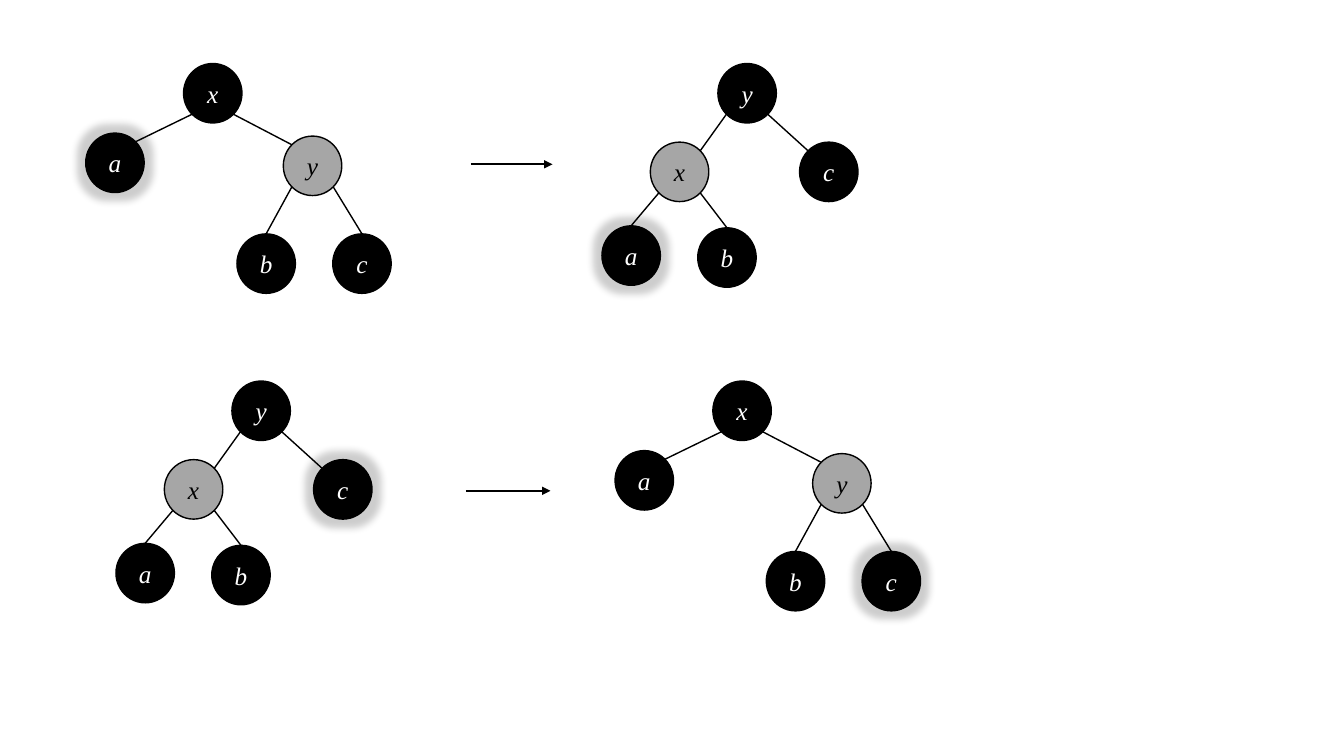
"""Draw the left and right rotations of a small binary search tree."""
import dataclasses
import math

import pptx
import pptx.dml.color
import pptx.enum.shapes
import pptx.enum.text
import pptx.oxml
import pptx.oxml.ns
import pptx.util

Inches = pptx.util.Inches
Pt = pptx.util.Pt
BLACK = pptx.dml.color.RGBColor(0x00, 0x00, 0x00)
WHITE = pptx.dml.color.RGBColor(0xFF, 0xFF, 0xFF)
GREY = pptx.dml.color.RGBColor(0xA6, 0xA6, 0xA6)
FONT = "Times New Roman"
NODE_WIDTH, NODE_HEIGHT = 0.58, 0.59
DRAWING = pptx.oxml.ns.nsdecls("a")


@dataclasses.dataclass(frozen=True)
class Node:
    label: str
    across: float
    down: float


@dataclasses.dataclass(frozen=True)
class Edge:
    parent: str
    child: str
    side: int
    to_top: bool = False


@dataclasses.dataclass(frozen=True)
class Form:
    nodes: tuple[Node, ...]
    edges: tuple[Edge, ...]
    inner: str


@dataclasses.dataclass(frozen=True)
class Tree:
    form: Form
    left: float
    top: float
    glowing: str


@dataclasses.dataclass(frozen=True)
class Arrow:
    start: float
    end: float
    height: float


RIGHT_HEAVY = Form(
    (Node("x", 0, 0), Node("a", -0.97, 0.69), Node("y", 0.99, 0.72),
     Node("b", 0.53, 1.69), Node("c", 1.48, 1.69)),
    (Edge("x", "a", -1), Edge("y", "b", -1, True),
     Edge("x", "y", 1), Edge("y", "c", 1, True)),
    "y",
)
LEFT_HEAVY = Form(
    (Node("y", 0, 0), Node("a", -1.15, 1.61), Node("x", -0.67, 0.78),
     Node("b", -0.2, 1.63), Node("c", 0.81, 0.78)),
    (Edge("y", "x", -1), Edge("x", "a", -1, True),
     Edge("y", "c", 1), Edge("x", "b", 1, True)),
    "x",
)
TREES = (
    Tree(RIGHT_HEAVY, 1.82, 0.63, "a"),
    Tree(LEFT_HEAVY, 7.12, 0.63, "a"),
    Tree(LEFT_HEAVY, 2.3, 3.78, "c"),
    Tree(RIGHT_HEAVY, 7.07, 3.78, "c"),
)
ARROWS = (Arrow(4.67, 5.48, 1.63), Arrow(4.62, 5.46, 4.87))


def add_line(shapes, start: tuple[float, float], end: tuple[float, float], weight: float):
    """Add a straight black line without a shadow."""
    line = shapes.add_connector(
        pptx.enum.shapes.MSO_CONNECTOR.STRAIGHT,
        *(Inches(value) for value in (*start, *end)),
    )
    line.line.color.rgb = BLACK
    line.line.width = Pt(weight)
    line._element.spPr.append(pptx.oxml.parse_xml(f"<a:effectLst {DRAWING}/>"))
    return line


def add_arrow(shapes, arrow: Arrow) -> None:
    """Add a horizontal arrow between two trees."""
    line = add_line(shapes, (arrow.start, arrow.height), (arrow.end, arrow.height), 1.5)
    line.line._get_or_add_ln().append(
        pptx.oxml.parse_xml(f'<a:tailEnd {DRAWING} type="triangle"/>'))


def add_glow(shape) -> None:
    """Surround a shape with a soft grey glow."""
    effects = shape._element.spPr.find(pptx.oxml.ns.qn("a:effectLst"))
    effects.append(pptx.oxml.parse_xml(
        f'<a:glow {DRAWING} rad="{Pt(11)}"><a:srgbClr val="{BLACK}">'
        '<a:alpha val="20000"/></a:srgbClr></a:glow>'))


def add_node(shapes, tree: Tree, node: Node):
    """Add one labelled circle of a tree."""
    inner = node.label == tree.form.inner
    circle = shapes.add_shape(
        pptx.enum.shapes.MSO_SHAPE.OVAL,
        Inches(tree.left + node.across), Inches(tree.top + node.down),
        Inches(NODE_WIDTH), Inches(NODE_HEIGHT),
    )
    circle.shadow.inherit = False
    circle.fill.solid()
    circle.fill.fore_color.rgb = GREY if inner else BLACK
    circle.line.color.rgb = BLACK
    circle.line.width = Pt(1)
    if node.label == tree.glowing:
        add_glow(circle)
    frame = circle.text_frame
    frame.margin_left = frame.margin_right = Inches(0.04)
    frame.margin_top = frame.margin_bottom = Inches(0.04)
    frame.vertical_anchor = pptx.enum.text.MSO_ANCHOR.MIDDLE
    para = frame.paragraphs[0]
    para.alignment = pptx.enum.text.PP_ALIGN.CENTER
    span = para.add_run()
    span.text = node.label
    span.font.name = FONT
    span.font.size = Pt(18)
    span.font.italic = True
    span.font.color.rgb = BLACK if inner else WHITE
    return circle


def rim_point(tree: Tree, node: Node, across: int, down: int) -> tuple[float, float]:
    """Return the point on a circle's rim in the given direction."""
    reach = math.hypot(across, down)
    return (tree.left + node.across + NODE_WIDTH / 2 * (1 + across / reach),
            tree.top + node.down + NODE_HEIGHT / 2 * (1 + down / reach))


def add_tree(page_shapes, tree: Tree) -> None:
    """Add a tree as one group, with its edges behind the lower nodes."""
    shapes = page_shapes.add_group_shape().shapes
    nodes = {node.label: node for node in tree.form.nodes}
    circles = {node.label: add_node(shapes, tree, node) for node in tree.form.nodes[:2]}
    lines = []
    for edge in tree.form.edges:
        start = rim_point(tree, nodes[edge.parent], edge.side, 1)
        end = rim_point(tree, nodes[edge.child], 0 if edge.to_top else -edge.side, -1)
        lines.append(add_line(shapes, start, end, 1))
    for node in tree.form.nodes[2:]:
        circles[node.label] = add_node(shapes, tree, node)
    for edge, line in zip(tree.form.edges, lines):
        if edge.to_top:
            line.end_connect(circles[edge.child], 0)


def main() -> None:
    """Build and save the slide."""
    deck = pptx.Presentation()
    deck.slide_width, deck.slide_height = Inches(13.33), Inches(7.5)
    page = deck.slides.add_slide(deck.slide_layouts[6])
    for arrow in ARROWS:
        add_arrow(page.shapes, arrow)
    for tree in TREES:
        add_tree(page.shapes, tree)
    deck.save("out.pptx")


if __name__ == "__main__":
    main()
